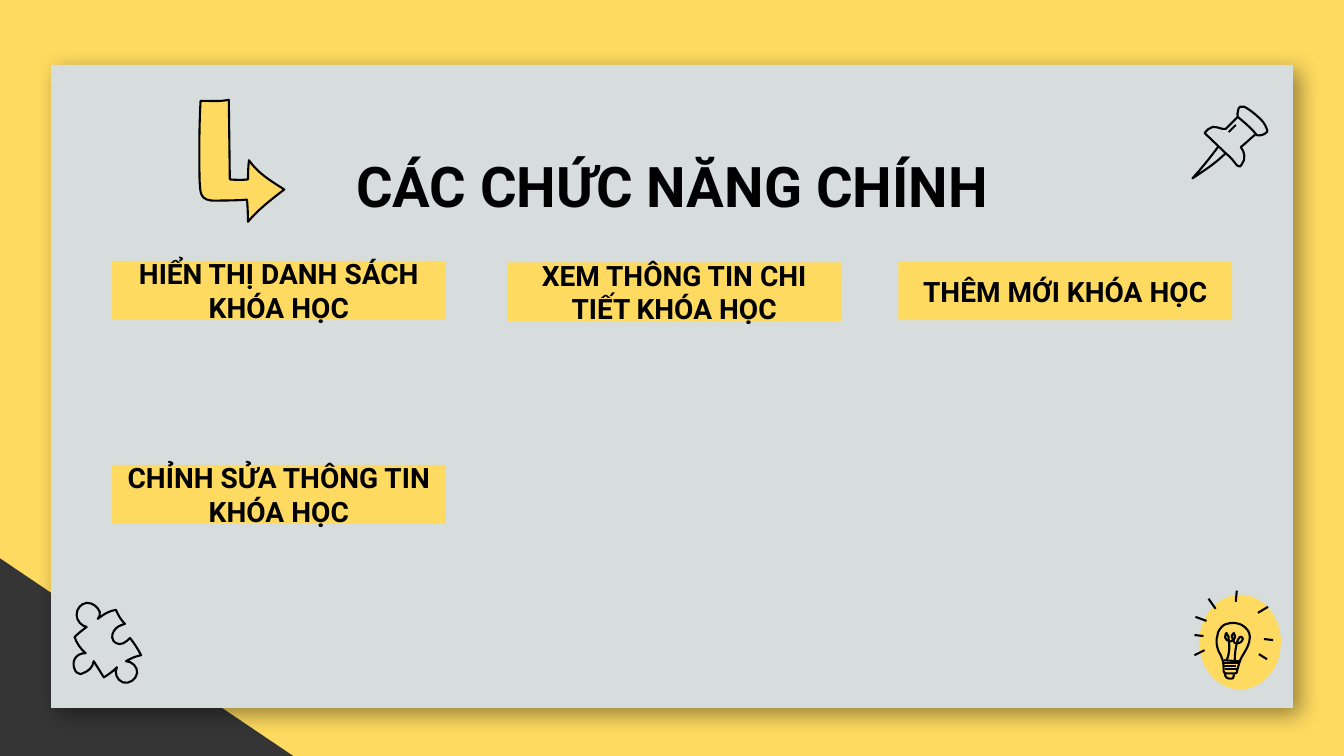
from dataclasses import dataclass

from lxml import etree
from pptx import Presentation
from pptx.dml.color import RGBColor
from pptx.enum.shapes import MSO_CONNECTOR, MSO_SHAPE
from pptx.enum.text import MSO_ANCHOR, PP_ALIGN
from pptx.oxml.ns import qn
from pptx.util import Pt

STRAIGHT = MSO_CONNECTOR.STRAIGHT
RECTANGLE = MSO_SHAPE.RECTANGLE
OVAL = MSO_SHAPE.OVAL
RIGHT_TRIANGLE = MSO_SHAPE.RIGHT_TRIANGLE
TOP, MIDDLE = MSO_ANCHOR.TOP, MSO_ANCHOR.MIDDLE
CENTER = PP_ALIGN.CENTER

COLORS = {"yellow": "FEDA60", "dark": "353535", "panel": "D7DDDD", "ink": "000000"}
FONT = "Roboto"
INSET = 9.6
STROKE = 1.5
GRID = 0.72  # points in one drawing unit
TITLE_ONLY = 5


@dataclass
class Block:
    kind: int
    left: float
    top: float
    width: float
    height: float
    color: str


@dataclass
class Label:
    left: float
    top: float
    text: str


@dataclass
class Doodle:
    """Outlines are M, L, C, Z paths and strokes are x1, y1, x2, y2, all in drawing units."""
    outlines: list[str]
    strokes: list[tuple[int, int, int, int]]
    fill: str | None = None


TRIANGLE = Block(RIGHT_TRIANGLE, 0, 398.8, 209.5, 141.2, "dark")
PANEL = Block(RECTANGLE, 36.5, 46.3, 887, 459.4, "panel")
GLOW = Block(OVAL, 856.6, 424.8, 58.3, 67.7, "yellow")

LABELS = [
    Label(80, 186.3, "HIỂN THỊ DANH SÁCH KHÓA HỌC"),
    Label(80, 332, "CHỈNH SỬA THÔNG TIN KHÓA HỌC"),
    Label(641.7, 186.9, "THÊM MỚI KHÓA HỌC"),
    Label(362.4, 187.4, "XEM THÔNG TIN CHI TIẾT KHÓA HỌC"),
]

PUZZLE = Doodle([
    "M 125 656 C 131 656 137 662 136 668 C 135 674 128 679 122 677 C 116 675 113 667 116 662 "
    "C 112 666 108 669 103 672 L 93 656 C 92 662 88 666 82 668 C 81 669 79 669 78 668 "
    "C 77 668 76 667 75 666 C 73 662 72 658 74 654 C 76 650 80 648 85 648 C 80 644 76 638 74 632 "
    "C 78 628 82 625 86 622 C 81 621 76 616 76 610 C 76 604 80 599 86 598 C 92 598 97 602 99 607 "
    "C 99 610 99 613 97 614 C 102 610 108 606 115 605 C 117 610 120 615 124 619 "
    "C 120 620 115 622 113 626 C 110 630 111 636 115 638 C 120 641 125 637 129 633 "
    "C 133 638 137 644 140 650 C 135 651 130 653 125 656 Z"], [])

BULB = Doodle([
    "M 1225 668 C 1226 668 1227 668 1227 667 C 1228 663 1230 654 1233 650 "
    "C 1236 645 1240 639 1240 632 C 1240 627 1237 623 1232 620 C 1228 618 1222 617 1217 619 "
    "C 1216 619 1214 620 1213 621 C 1210 624 1208 627 1208 630 C 1206 635 1207 641 1209 646 "
    "C 1211 649 1212 652 1213 655 C 1214 658 1214 663 1214 666 C 1214 667 1215 668 1216 668 "
    "L 1225 668 Z",
    "M 1225 655 C 1225 648 1226 641 1228 635 C 1229 634 1229 633 1230 632 "
    "C 1231 632 1232 632 1232 632 C 1233 633 1233 633 1233 634 C 1233 635 1232 636 1231 637 "
    "C 1230 638 1229 638 1227 638 C 1227 638 1226 638 1225 638 C 1224 637 1223 635 1223 634 "
    "C 1223 633 1222 632 1222 631 C 1223 630 1223 628 1224 628 C 1226 630 1226 633 1224 635 "
    "C 1222 637 1219 637 1217 635 C 1215 634 1215 631 1216 629 C 1216 628 1216 628 1217 628 "
    "C 1217 628 1217 628 1217 629 C 1219 630 1219 632 1219 635 C 1220 641 1220 648 1217 655",
    "M 1224 669 C 1224 670 1224 672 1223 673 C 1222 674 1220 673 1218 673 "
    "C 1217 672 1216 672 1216 671 C 1215 670 1215 669 1216 668",
], [
    (1229, 656, 1214, 655), (1229, 658, 1214, 658), (1226, 661, 1214, 661),
    (1228, 664, 1215, 664), (1257, 654, 1249, 649), (1263, 635, 1254, 634),
    (1248, 608, 1258, 602), (1226, 597, 1227, 586), (1206, 604, 1199, 594),
    (1197, 616, 1186, 612), (1194, 631, 1185, 630), (1195, 645, 1185, 650),
])

PIN = Doodle([
    "M 1228 116 C 1224 120 1220 124 1216 128 C 1216 128 1216 128 1215 128 "
    "C 1215 128 1214 128 1213 128 C 1210 127 1207 126 1203 126 C 1200 127 1197 129 1195 132 "
    "L 1217 153 C 1221 156 1224 160 1227 164 C 1228 164 1228 165 1229 165 "
    "C 1230 166 1231 165 1232 163 C 1236 158 1235 151 1231 146 C 1236 142 1241 137 1246 133 "
    "C 1241 127 1234 121 1228 116 Z",
    "M 1228 116 C 1228 114 1227 112 1228 111 C 1228 109 1229 107 1230 106 "
    "C 1233 105 1236 106 1238 108 C 1241 110 1252 118 1255 124 C 1256 126 1258 130 1257 131 "
    "C 1254 134 1250 135 1246 134",
    "M 1209 145 C 1201 156 1192 167 1183 177 C 1195 169 1206 162 1216 152",
], [(1219, 131, 1226, 124)])

ARROW = Doodle([
    "M 199 100 C 197 134 198 177 198 179 C 199 190 197 200 215 199 C 215 199 237 199 245 198 "
    "C 246 207 246 220 246 220 C 256 208 269 198 282 188 C 268 179 256 172 247 159 "
    "C 246 167 246 178 246 178 C 238 179 228 178 228 178 L 227 99 C 217 101 210 100 199 100 Z",
], [], "yellow")


def rgb(name: str) -> RGBColor:
    return RGBColor.from_string(COLORS[name])


def set_ink(line) -> None:
    line.color.rgb = rgb("ink")
    line.width = Pt(STROKE)


def bend(shape, letters: list[str]) -> None:
    """Join each three straight segments that stand for a C command into one Bézier curve."""
    segments = iter(list(shape.element.iter(qn("a:lnTo"))))
    for letter in letters:
        segment = next(segments)
        if letter == "C":
            segment.tag = qn("a:cubicBezTo")
            for _ in range(2):
                spare = next(segments)
                segment.append(spare[0])
                spare.getparent().remove(spare)


def draw_outline(shapes, outline: str):
    tokens = outline.split()
    numbers = [Pt(float(token) * GRID) for token in tokens if not token.isalpha()]
    start, *rest = zip(numbers[::2], numbers[1::2])
    builder = shapes.build_freeform(*start)
    builder.add_line_segments(rest, close=outline.endswith("Z"))
    shape = builder.convert_to_shape()
    bend(shape, [token for token in tokens if token in ("L", "C")])
    return shape


def draw_doodle(shapes, doodle: Doodle) -> None:
    for outline in doodle.outlines:
        shape = draw_outline(shapes, outline)
        shape.shadow.inherit = False
        set_ink(shape.line)
        if doodle.fill:
            shape.fill.solid()
            shape.fill.fore_color.rgb = rgb(doodle.fill)
        else:
            shape.fill.background()
    for stroke in doodle.strokes:
        connector = shapes.add_connector(STRAIGHT, *(Pt(value * GRID) for value in stroke))
        set_ink(connector.line)
        etree.SubElement(connector.element.spPr, qn("a:effectLst"))


def draw_block(shapes, block: Block):
    shape = shapes.add_shape(block.kind, Pt(block.left), Pt(block.top), Pt(block.width), Pt(block.height))
    shape.shadow.inherit = False
    shape.fill.solid()
    shape.fill.fore_color.rgb = rgb(block.color)
    shape.line.fill.background()
    return shape


def cast_shadow(shape) -> None:
    effects = shape.element.spPr.find(qn("a:effectLst"))
    shadow = etree.SubElement(effects, qn("a:outerShdw"), blurRad=str(Pt(15)), dist=str(Pt(7)),
                              dir="2700000", algn="tl", rotWithShape="0")
    color = etree.SubElement(shadow, qn("a:srgbClr"), val=COLORS["ink"])
    etree.SubElement(color, qn("a:alpha"), val="40000")


def write(shape, text: str, size: float, anchor: int) -> None:
    frame = shape.text_frame
    frame.word_wrap = True
    frame.vertical_anchor = anchor
    frame.margin_left = frame.margin_right = frame.margin_top = frame.margin_bottom = Pt(INSET)
    para = frame.paragraphs[0]
    para.alignment = CENTER
    span = para.add_run()
    span.text = text
    span.font.name = FONT
    span.font.size = Pt(size)
    span.font.bold = True
    span.font.color.rgb = rgb("ink")


def main() -> None:
    deck = Presentation()
    deck.slide_width, deck.slide_height = Pt(960), Pt(540)
    page = deck.slides.add_slide(deck.slide_layouts[TITLE_ONLY])
    page.background.fill.solid()
    page.background.fill.fore_color.rgb = rgb("yellow")
    shapes = page.shapes

    draw_block(shapes, TRIANGLE)
    cast_shadow(draw_block(shapes, PANEL))
    draw_block(shapes, GLOW)
    draw_doodle(shapes, PUZZLE)
    for doodle in (BULB, PIN):
        draw_doodle(shapes.add_group_shape().shapes, doodle)

    title = shapes.title
    title.left, title.top, title.width, title.height = Pt(80), Pt(98.6), Pt(800), Pt(60)
    write(title, "CÁC CHỨC NĂNG CHÍNH", 40, TOP)
    shapes.element.append(title.element)  # in front of the panel

    for label in LABELS:
        box = draw_block(shapes, Block(RECTANGLE, label.left, label.top, 238.4, 41.8, "yellow"))
        write(box, label.text, 20, MIDDLE)
    draw_doodle(shapes, ARROW)
    deck.save("out.pptx")


if __name__ == "__main__":
    main()
